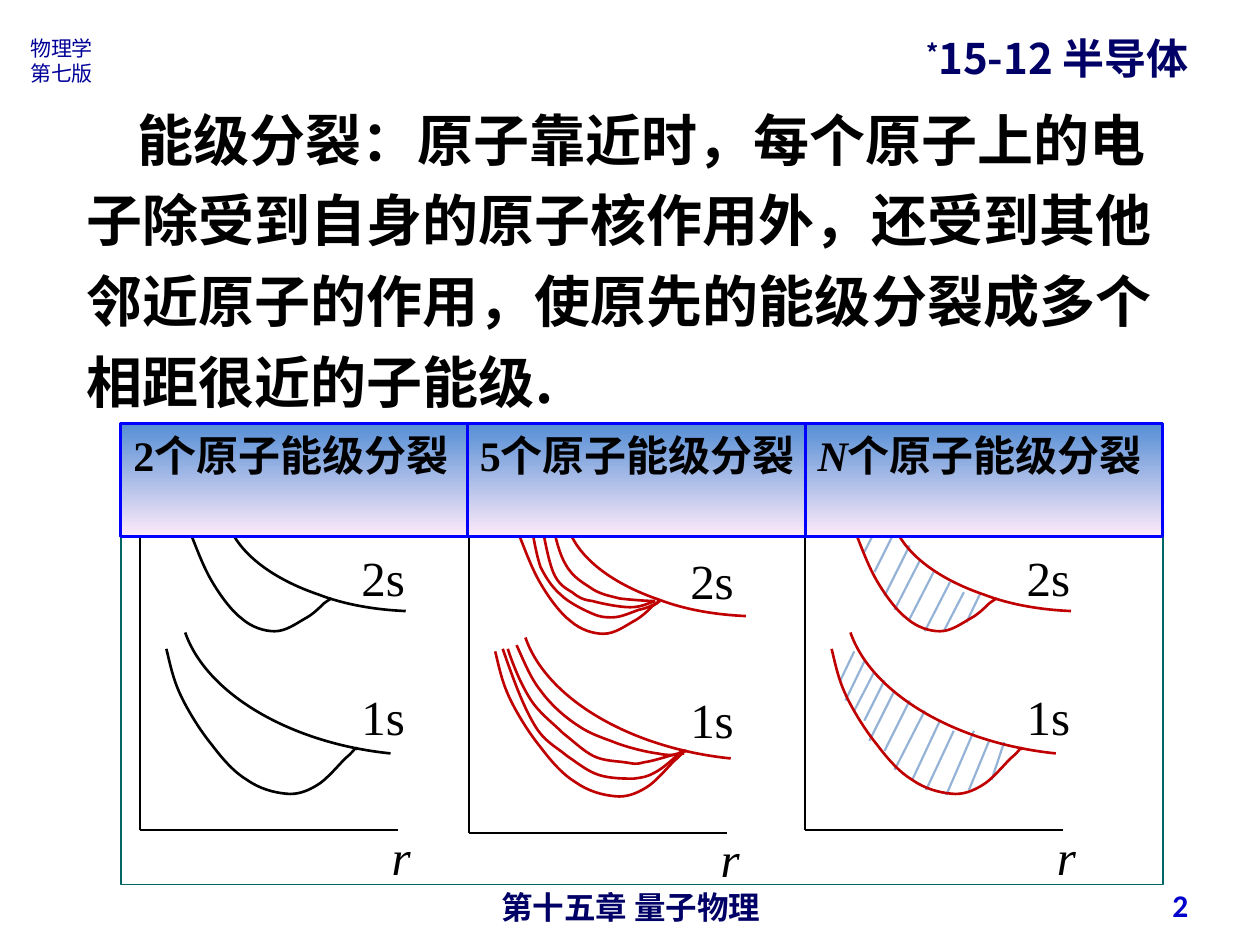
import pptx
import pptx.dml.color
import pptx.enum.shapes
import pptx.enum.text
import pptx.oxml.ns
import pptx.util
from lxml import etree

CJK, SERIF = "Noto Sans CJK SC", "Times New Roman"
BLACK, RED, NAVY, HATCH = "000000", "C00000", "000066", "95B3D7"
ALIGN = pptx.enum.text.PP_ALIGN
ANCHOR = pptx.enum.text.MSO_ANCHOR
RECTANGLE = pptx.enum.shapes.MSO_SHAPE.RECTANGLE
qn = pptx.oxml.ns.qn


def color(value):
    return pptx.dml.color.RGBColor.from_string(value)


def length(inches):
    return pptx.util.Cm(inches * 2.54)


class Style:
    """Holds the slide and draws each kind of element on it."""

    def __init__(self, slide):
        self.slide = slide

    def set_text(self, shape, text, size, font, hue=BLACK, bold=False, italic=False,
                 align=ALIGN.LEFT, anchor=ANCHOR.TOP, wrap=True):
        frame = shape.text_frame
        frame.text = text
        frame.word_wrap = wrap
        frame.auto_size = pptx.enum.text.MSO_AUTO_SIZE.NONE
        frame.vertical_anchor = anchor
        for paragraph in frame.paragraphs:
            paragraph.alignment = align
            for run in paragraph.runs:
                self.set_font(run, size, font, hue, bold, italic)
        return frame.paragraphs[0]

    def set_font(self, run, size, font, hue, bold=False, italic=False):
        run.font.size = pptx.util.Pt(size)
        run.font.name = font
        run.font.bold, run.font.italic = bold, italic
        run.font.color.rgb = color(hue)
        etree.SubElement(run.font._element, qn("a:ea")).set("typeface", CJK)

    def title(self, mark, text, box):
        shape = self.slide.shapes.title
        shape.left, shape.top, shape.width, shape.height = map(length, box)
        paragraph = self.set_text(shape, mark, 24, CJK, NAVY, bold=True, wrap=False)
        paragraph.runs[0].font._element.set("baseline", "30000")
        run = paragraph.add_run()
        run.text = text
        self.set_font(run, 24, CJK, NAVY, bold=True)

    def text(self, box, text, size, font, **look):
        shape = self.slide.shapes.add_textbox(*map(length, box))
        return self.set_text(shape, text, size, font, **look)

    def rectangle(self, box, line, width):
        shape = self.slide.shapes.add_shape(RECTANGLE, *map(length, box))
        shape.shadow.inherit = False
        shape.fill.solid()
        shape.fill.fore_color.rgb = color("FFFFFF")
        shape.line.color.rgb = color(line)
        shape.line.width = pptx.util.Pt(width)
        return shape

    def header(self, left, width, count, text, italic):
        shape = self.rectangle((left, 3.36, width, 0.9), "0000FF", 1.75)
        shape.fill.gradient()
        shape.fill.gradient_angle = 270
        for stop, hue in zip(shape.fill.gradient_stops, ("558ED5", "FFEBFA")):
            stop.color.rgb = color(hue)
        paragraph = self.set_text(shape, count, 24, SERIF, bold=True, italic=italic)
        run = paragraph.add_run()
        run.text = text
        self.set_font(run, 24, SERIF, BLACK, bold=True)

    def line(self, x1, y1, x2, y2, hue):
        line = self.slide.shapes.add_connector(
            pptx.enum.shapes.MSO_CONNECTOR.STRAIGHT, *map(length, (x1, y1, x2, y2)))
        line.line.color.rgb = color(hue)
        line.line.width = pptx.util.Pt(1.25)
        etree.SubElement(line._element.spPr, qn("a:effectLst"))

    def curve(self, points, dx, dy, hue):
        """Draw a Bezier chain: a start point, then three points per segment."""
        moved = [(length(x + dx), length(y + dy)) for x, y in points]
        builder = self.slide.shapes.build_freeform(*moved[0])
        builder.add_line_segments(moved[1:], close=False)
        shape = builder.convert_to_shape()
        shape.shadow.inherit = False
        shape.fill.background()
        shape.line.color.rgb = color(hue)
        shape.line.width = pptx.util.Pt(1.5)
        # Turn each three straight steps into one cubic segment
        steps = list(shape._element.iter(qn("a:lnTo")))
        for first in range(0, len(steps), 3):
            bezier = etree.Element(qn("a:cubicBezTo"))
            steps[first].addprevious(bezier)
            for step in steps[first:first + 3]:
                bezier.append(step[0])
                step.getparent().remove(step)


# Curves of the first panel; the other panels shift them
UPPER_1S = [(3.1, 5.98), (2.31, 5.9), (1.64, 5.51), (1.47, 5.02)]
UPPER_2S = [(3.22, 4.85), (2.98, 4.84), (2.74, 4.8), (2.53, 4.72),
            (2.06, 4.56), (1.77, 4.28), (1.79, 3.99)]
LOWER_1S = [(1.32, 5.15), (1.35, 5.27), (1.37, 5.38), (1.43, 5.51), (1.49, 5.64),
            (1.59, 5.8), (1.68, 5.91), (1.77, 6.03), (1.86, 6.13), (1.96, 6.19),
            (2.06, 6.26), (2.17, 6.29), (2.27, 6.3), (2.36, 6.31), (2.44, 6.28),
            (2.52, 6.23), (2.59, 6.19), (2.69, 6.07), (2.74, 6.02), (2.79, 5.98),
            (2.81, 5.95), (2.82, 5.94), (2.84, 5.93), (2.83, 5.94), (2.82, 5.95)]
LOWER_2S = [(1.5, 4.2), (1.56, 4.35), (1.61, 4.49), (1.68, 4.61), (1.75, 4.73),
            (1.84, 4.85), (1.92, 4.91), (2, 4.98), (2.1, 5.01), (2.18, 5.01),
            (2.27, 5.01), (2.35, 4.95), (2.42, 4.91), (2.48, 4.88), (2.54, 4.82),
            (2.57, 4.79), (2.61, 4.76), (2.63, 4.75), (2.63, 4.75)]

# Inner levels of the five-atom panel
INNER_LEVELS = [
    [(4.36, 4.05), (4.4, 4.22), (4.43, 4.38), (4.49, 4.48), (4.55, 4.59), (4.64, 4.63),
     (4.71, 4.68), (4.78, 4.72), (4.84, 4.73), (4.92, 4.75), (5, 4.76), (5.14, 4.77),
     (5.2, 4.77)],
    [(4.29, 4.11), (4.32, 4.27), (4.35, 4.44), (4.39, 4.54), (4.43, 4.64), (4.49, 4.67),
     (4.54, 4.7), (4.59, 4.74), (4.62, 4.76), (4.7, 4.77), (4.77, 4.79), (4.92, 4.82),
     (5, 4.82), (5.09, 4.82), (5.14, 4.79), (5.2, 4.77)],
    [(4.22, 4.19), (4.24, 4.3), (4.26, 4.41), (4.29, 4.5), (4.33, 4.58), (4.38, 4.66),
     (4.45, 4.72), (4.51, 4.78), (4.63, 4.84), (4.7, 4.87), (4.77, 4.9), (4.8, 4.9),
     (4.86, 4.9), (4.93, 4.9), (5.01, 4.86), (5.07, 4.84), (5.13, 4.83), (5.18, 4.8),
     (5.21, 4.79), (5.24, 4.77), (5.22, 4.76), (5.22, 4.76)],
    [(4.1, 5.12), (4.16, 5.25), (4.21, 5.38), (4.29, 5.48), (4.37, 5.59), (4.48, 5.69),
     (4.59, 5.76), (4.69, 5.83), (4.8, 5.86), (4.9, 5.9), (5.01, 5.94), (5.14, 5.97),
     (5.22, 5.98), (5.31, 6), (5.37, 5.99), (5.43, 5.98)],
    [(4.03, 5.15), (4.08, 5.3), (4.14, 5.44), (4.21, 5.55), (4.28, 5.66), (4.39, 5.74),
     (4.47, 5.82), (4.56, 5.89), (4.63, 5.96), (4.71, 6), (4.79, 6.04), (4.89, 6.04),
     (4.96, 6.05), (5.03, 6.06), (5.04, 6.07), (5.11, 6.05), (5.19, 6.04), (5.3, 6),
     (5.42, 5.97)],
    [(3.99, 5.15), (4.07, 5.38), (4.15, 5.6), (4.24, 5.75), (4.32, 5.89), (4.42, 5.93),
     (4.5, 6), (4.59, 6.06), (4.66, 6.12), (4.75, 6.15), (4.84, 6.18), (4.96, 6.18),
     (5.03, 6.18), (5.1, 6.17), (5.13, 6.17), (5.2, 6.13), (5.26, 6.1), (5.34, 6.03),
     (5.42, 5.95)],
]

# Hatching of the N-atom bands
BAND_HATCH = [
    (7.06, 3.99, 6.86, 4.38), (7.1, 4.22, 6.94, 4.54), (7.22, 4.33, 7.02, 4.73),
    (7.3, 4.45, 7.1, 4.84), (7.41, 4.54, 7.21, 4.93), (7.54, 4.62, 7.34, 5.01),
    (7.65, 4.7, 7.49, 5.01), (7.78, 4.71, 7.67, 4.94), (6.78, 5.17, 6.67, 5.4),
    (6.86, 5.25, 6.71, 5.56), (6.94, 5.33, 6.78, 5.64), (7.02, 5.4, 6.86, 5.72),
    (7.1, 5.48, 6.9, 5.88), (7.22, 5.56, 7.02, 5.96), (7.34, 5.64, 7.1, 6.11),
    (7.46, 5.72, 7.24, 6.19), (7.57, 5.8, 7.35, 6.27), (7.73, 5.8, 7.51, 6.31),
    (7.85, 5.88, 7.69, 6.27), (7.97, 5.89, 7.87, 6.19),
]


def draw_panel(style, dx, dy, hue, upper_shift, hatch=(), levels=()):
    style.line(1.11 + dx, 3.91 + dy, 1.11 + dx, 6.59 + dy, BLACK)
    style.line(1.11 + dx, 6.59 + dy, 3.16 + dx, 6.59 + dy, BLACK)
    for left, top, label in ((2.77, 4.3, "2s"), (2.77, 5.4, "1s"), (3.01, 6.51, "r")):
        style.text((left + dx, top + dy, 0.71, 0.57), label, 28, SERIF,
                   italic=label == "r")
    for stroke in hatch:
        style.line(*stroke, HATCH)
    for points in (LOWER_1S, LOWER_2S):
        style.curve(points, dx, dy, hue)
    for points in (UPPER_1S, UPPER_2S):
        style.curve(points, *upper_shift, hue)
    for points in levels:
        style.curve(points, 0, 0, hue)


def main():
    presentation = pptx.Presentation()
    presentation.slide_width, presentation.slide_height = length(10), length(7.5)
    style = Style(presentation.slides.add_slide(presentation.slide_layouts[5]))

    # Running heads and title
    style.text((0.14, 0.23, 0.72, 0.5), "物理学\n第七版", 12, CJK, hue="000099")
    style.text((3.42, 7, 3.17, 0.29), "第十五章 量子物理", 18, "Arial",
               hue=NAVY, bold=True, align=ALIGN.CENTER)
    style.title("*", "15-12 半导体", (7.25, 0.21, 2.58, 0.5))

    # Explanation
    body = style.text(
        (0.59, 0.68, 8.82, 2.66),
        "能级分裂：原子靠近时，每个原子上的电子除受到自身的原子核作用外，"
        "还受到其他邻近原子的作用，使原先的能级分裂成多个相距很近的子能级.",
        32, CJK, bold=True)
    body.line_spacing = 1.2
    body._p.get_or_add_pPr().set("indent", str(length(0.4)))

    # Three energy diagrams in one frame
    style.rectangle((0.96, 3.44, 8.27, 3.58), "006666", 1)
    draw_panel(style, 0, 0, BLACK, (0, 0))
    draw_panel(style, 2.61, 0.02, RED, (2.7, 0.04), levels=INNER_LEVELS)
    draw_panel(style, 5.28, 0, RED, (5.28, 0), hatch=BAND_HATCH)

    # Panel headings
    for left, width, count in ((0.96, 2.76, "2"), (3.71, 2.76, "5"), (6.39, 2.84, "N")):
        style.header(left, width, count, "个原子能级分裂", italic=count == "N")

    # Slide number
    style.text((7.2, 6.98, 2.33, 0.4), "2", 18, "Calibri", hue="0000CC", bold=True,
               align=ALIGN.RIGHT, anchor=ANCHOR.MIDDLE)

    presentation.save("out.pptx")


if __name__ == "__main__":
    main()
